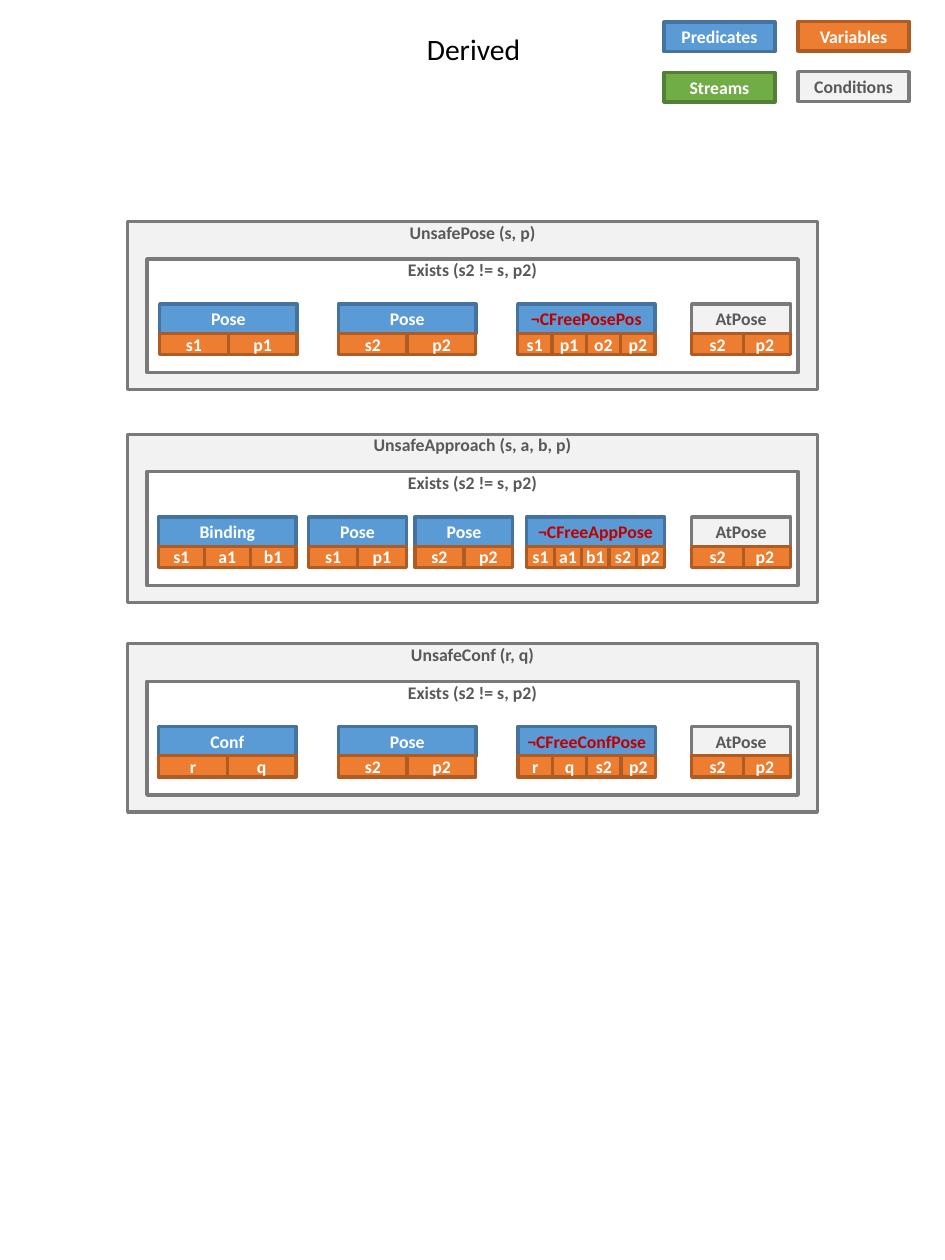
"""Build the slide of derived predicates with their variables and conditions."""
from dataclasses import dataclass
from pptx import Presentation
from pptx.dml.color import RGBColor
from pptx.enum.shapes import MSO_SHAPE
from pptx.enum.text import MSO_ANCHOR, PP_ALIGN
from pptx.util import Pt


@dataclass(frozen=True)
class Theme:
    font: str = "Calibri"
    title_size: int = 20
    label_size: int = 12
    border: float = 2.25
    title: str = "000000"
    predicate: tuple = ("5B9BD5", "43739E", "FFFFFF")
    negated: tuple = ("5B9BD5", "43739E", "C00000")
    variable: tuple = ("ED7D31", "AF5C24", "FFFFFF")
    stream: tuple = ("70AD47", "538035", "FFFFFF")
    condition: tuple = ("F2F2F2", "7A7A7A", "595959")
    scope: tuple = ("FFFFFF", "7A7A7A", "595959")


theme = Theme()


def write(box, text, size, color, bold, anchor):
    frame = box.text_frame
    frame.word_wrap = True
    frame.vertical_anchor = anchor
    frame.margin_left = frame.margin_right = frame.margin_top = frame.margin_bottom = 0
    para = frame.paragraphs[0]
    para.text = text
    para.alignment = PP_ALIGN.CENTER
    font = para.runs[0].font
    font.name, font.size, font.bold = theme.font, Pt(size), bold
    font.color.rgb = RGBColor.from_string(color)


def add_box(shapes, text, style, left, top, width, height, anchor=MSO_ANCHOR.MIDDLE):
    fill, line, color = style
    box = shapes.add_shape(MSO_SHAPE.RECTANGLE, Pt(left), Pt(top), Pt(width), Pt(height))
    box.shadow.inherit = False
    box.fill.solid()
    box.fill.fore_color.rgb = RGBColor.from_string(fill)
    box.line.color.rgb = RGBColor.from_string(line)
    box.line.width = Pt(theme.border)
    write(box, text, theme.label_size, color, True, anchor)


deck = Presentation()
deck.slide_width, deck.slide_height = Pt(639.36), Pt(852.48)
page = deck.slides.add_slide(deck.slide_layouts[6])

title = page.shapes.add_textbox(0, Pt(17.5), Pt(640.8), Pt(31.5))
write(title, "Derived", theme.title_size, theme.title, False, MSO_ANCHOR.MIDDLE)

legend = [
    ("Predicates", theme.predicate, 449.3, 15),
    ("Variables", theme.variable, 540, 14.5),
    ("Streams", theme.stream, 449.3, 49),
    ("Conditions", theme.condition, 540, 48.5),
]
for name, style, left, top in legend:
    add_box(page.shapes, name, style, left, top, 75, 20)

at_pose = ("AtPose", theme.condition, 468, 67, "s2 p2")
panels = [
    ("UnsafePose (s, p)", 149.8, [
        ("Pose", theme.predicate, 108, 93, "s1 p1"),
        ("Pose", theme.predicate, 229, 93, "s2 p2"),
        ("¬CFreePosePos", theme.negated, 350.2, 93, "s1 p1 o2 p2"),
        at_pose,
    ]),
    ("UnsafeApproach (s, a, b, p)", 293.8, [
        ("Binding", theme.predicate, 107.3, 93, "s1 a1 b1"),
        ("Pose", theme.predicate, 208.8, 66.2, "s1 p1"),
        ("Pose", theme.predicate, 280.8, 66.2, "s2 p2"),
        ("¬CFreeAppPose", theme.negated, 356.4, 93, "s1 a1 b1 s2 p2"),
        at_pose,
    ]),
    ("UnsafeConf (r, q)", 435.6, [
        ("Conf", theme.predicate, 107.3, 93, "r q"),
        ("Pose", theme.predicate, 229, 93, "s2 p2"),
        ("¬CFreeConfPose", theme.negated, 350.5, 93, "r q s2 p2"),
        at_pose,
    ]),
]
for heading, top, blocks in panels:
    add_box(page.shapes, heading, theme.condition, 86.4, top, 466.6, 113.8, MSO_ANCHOR.TOP)
    add_box(page.shapes, "Exists (s2 != s, p2)", theme.scope, 99.4, top + 25.4, 440.6, 77,
            MSO_ANCHOR.TOP)
    for name, style, left, width, variables in blocks:
        group = page.shapes.add_group_shape()
        add_box(group.shapes, name, style, left, top + 56, width, 20)
        names = variables.split()
        overlap = 3 if style == theme.condition else 0
        cell = (width + overlap) / len(names)
        for index, variable in reversed(list(enumerate(names))):
            add_box(group.shapes, variable, theme.variable,
                    left + index * (cell - overlap), top + 75.8, cell, 14.4)

deck.save("out.pptx")
